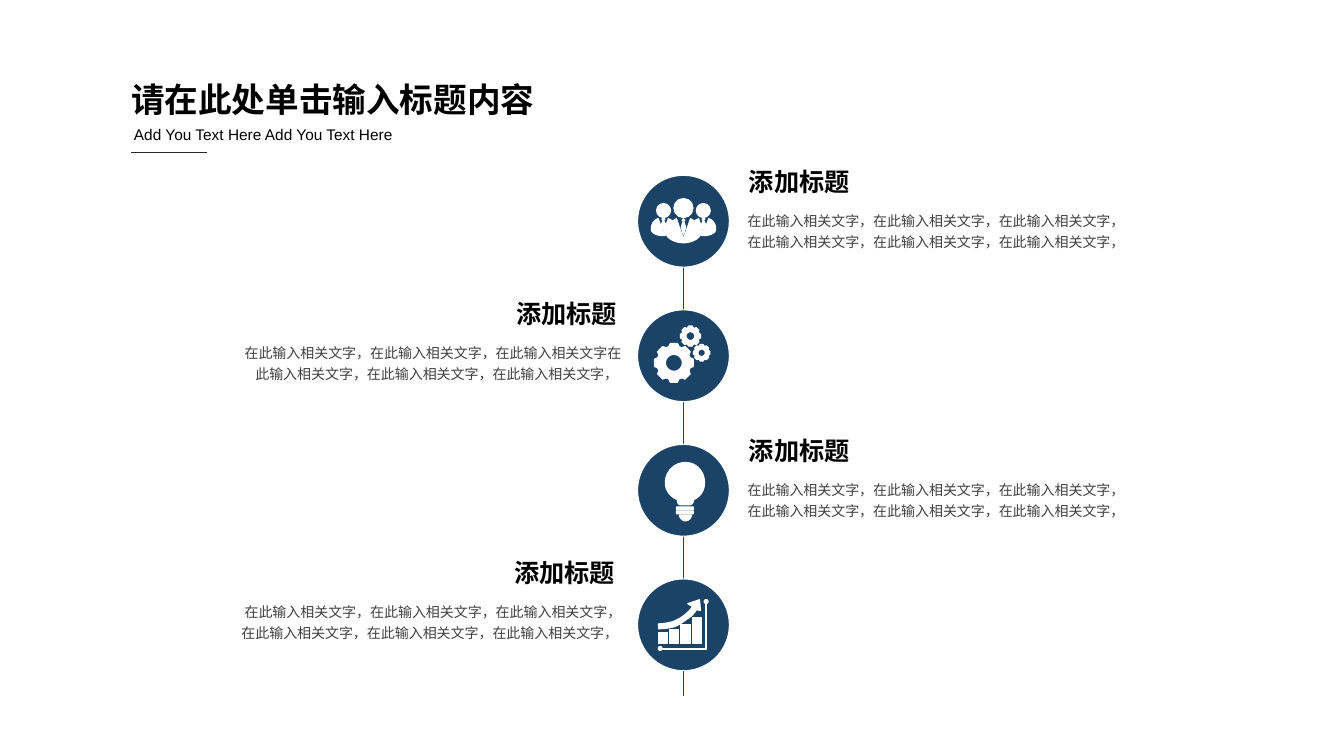
import math
import pptx
import pptx.dml.color
import pptx.enum.shapes
import pptx.enum.text
import pptx.oxml
import pptx.oxml.ns
import pptx.util

Pt = pptx.util.Pt
KIND = pptx.enum.shapes.MSO_SHAPE
ALIGN = pptx.enum.text.PP_ALIGN
qn = pptx.oxml.ns.qn


def color(code):
    return pptx.dml.color.RGBColor.from_string(code)


def trace(steps):
    spots = [steps[0]]
    for step in steps[1:]:
        if len(step) == 2:
            spots.append(step)
            continue
        ctrl = [spots[-1], step[:2], step[2:4], step[4:]]
        for n in range(1, 13):
            t = n / 12
            parts = [(1 - t) ** 3, 3 * t * (1 - t) ** 2, 3 * t * t * (1 - t), t ** 3]
            spots.append(tuple(sum(w * c[k] for w, c in zip(parts, ctrl)) for k in (0, 1)))
    return spots


def polar(x, y, r, deg):
    a = math.radians(deg)
    return x + r * math.cos(a), y + r * math.sin(a)


class Deck:
    sans = "Noto Sans CJK SC"
    navy, white, black, gray, dark = "1B4367", "FFFFFF", "000000", "404040", "262626"

    def __init__(self):
        self.prs = pptx.Presentation()
        self.prs.slide_width, self.prs.slide_height = Pt(960), Pt(540)
        self.slide = self.prs.slides.add_slide(self.prs.slide_layouts[5])
        self.shapes = self.slide.shapes
        self.x = self.y = 0

    def label(self, box, text, size, ink, bold=False, font=sans, align=ALIGN.LEFT, gap=None):
        frame = box.text_frame
        frame.word_wrap = True
        frame.auto_size = pptx.enum.text.MSO_AUTO_SIZE.SHAPE_TO_FIT_TEXT
        frame.vertical_anchor = pptx.enum.text.MSO_ANCHOR.TOP
        para = frame.paragraphs[0]
        para.text = text
        para.alignment = align
        if gap:
            para.line_spacing = gap
        para.font.name = font
        para.font.size = Pt(size)
        para.font.bold = bold
        para.font.color.rgb = color(ink)
        props = para._p.pPr.find(qn("a:defRPr"))
        east = pptx.oxml.parse_xml(f'<a:ea {pptx.oxml.ns.nsdecls("a")} typeface="{font}"/>')
        props.find(qn("a:latin")).addnext(east)

    def title(self, text, x, y, w, h):
        box = self.shapes.title
        box.left, box.top, box.width, box.height = Pt(x), Pt(y), Pt(w), Pt(h)
        frame = box.text_frame
        frame.margin_left = frame.margin_right = Pt(5)
        frame.margin_top = frame.margin_bottom = Pt(2.9)
        self.label(box, text, 24, self.black, True)

    def text(self, text, x, y, w, h, size, ink, **style):
        box = self.shapes.add_textbox(Pt(x), Pt(y), Pt(w), Pt(h))
        self.label(box, text, size, ink, **style)

    def line(self, x1, y1, x2, y2, ink):
        link = self.shapes.add_connector(
            pptx.enum.shapes.MSO_CONNECTOR.STRAIGHT, Pt(x1), Pt(y1), Pt(x2), Pt(y2))
        link.line.color.rgb = color(ink)
        link.line.width = Pt(0.75)
        link._element.spPr.append(
            pptx.oxml.parse_xml(f'<a:effectLst {pptx.oxml.ns.nsdecls("a")}/>'))

    def paint(self, shape, fill, width=0.75):
        shape.shadow.inherit = False
        shape.fill.solid()
        shape.fill.fore_color.rgb = color(fill)
        shape.line.color.rgb = color(self.white)
        shape.line.width = Pt(width)

    def shape(self, kind, x, y, w, h, fill=white):
        item = self.shapes.add_shape(kind, Pt(self.x + x), Pt(self.y + y), Pt(w), Pt(h))
        self.paint(item, fill)

    def disc(self, x, y, size, fill=white):
        self.shape(KIND.OVAL, x - size / 2, y - size / 2, size, size, fill)

    def free(self, *loops, side=1, width=0.75):
        pen = None
        for loop in loops:
            spots = [((self.x + side * x) * 100, (self.y + y) * 100) for x, y in trace(loop)]
            if pen is None:
                pen = self.shapes.build_freeform(*spots[0], scale=127.0)
            else:
                pen.move_to(*spots[0])
            pen.add_line_segments(spots[1:], close=True)
        self.paint(pen.convert_to_shape(), self.white, width)

    def tie(self, x, y, tall):
        self.free([(x, y), (x + 1.1, y + 1.1), (x, y + 2.2), (x - 1.1, y + 1.1)])
        top = y + 2.2
        self.free([(x, top), (x + 0.7, top + 0.7), (x + 1.6, top + 0.45 * tall),
                   (x, top + tall), (x - 1.6, top + 0.45 * tall), (x - 0.7, top + 0.7)])

    def team(self):
        self.disc(0, -9.4, 13.7)
        self.free([(12.2, 9), (12.2, 4, 9.4, 0.4, 5, -1.8), (0, 12.6), (-5, -1.8),
                   (-9.4, 0.4, -12.2, 4, -12.2, 9), (-12.2, 11.9, -6.5, 15.5, 0, 15.5),
                   (6.5, 15.5, 12.2, 11.9, 12.2, 9)])
        self.tie(0, -1.8, 9.3)
        for side in (-1, 1):
            self.disc(14.2 * side, -7.6, 10.1)
            self.free([(23, 5.4), (23, 2, 21, -1, 18, -1.8), (14.4, 8.3), (10.8, -1.8),
                       (7.9, -0.4), (11, 1.8, 13, 5.4, 13, 9), (13, 10.4), (14.4, 10.4),
                       (19.4, 10.4, 23, 8.3, 23, 6)], side=side)
            self.tie(14.3 * side, -2.5, 6.5)

    def gear(self, x, y, size, hole):
        teeth = [polar(x, y, size * r, 45 * n + turn) for n in range(8)
                 for r, turn in ((0.86, -17), (1, -10.5), (1, 10.5), (0.86, 17))]
        ring = [polar(x, y, hole, -10 * n) for n in range(36)]
        self.free(teeth, ring, width=1)

    def gears(self):
        for gear in ((-6.8, 5.1, 14, 6.1), (5, -14, 7.2, 3.2), (13, -2.1, 5.9, 2.7)):
            self.gear(*gear)

    def bulb(self):
        self.free([(-2.9, 17.6), (-2.9, 19.7, -0.7, 21.9, 1.4, 21.9),
                   (3.6, 21.9, 5.8, 19.7, 5.8, 17.6)])
        for y in (11.8, 14.7):
            self.shape(KIND.ROUNDED_RECTANGLE, -5, y, 12.2, 2.2)
        self.free([(15.1, -5.5), (15.1, -13.4, 9.4, -19.9, 1.4, -19.9),
                   (-6.5, -19.9, -13, -13.4, -13, -5.5), (-13, 0.3, -9.4, 4.6, -4.3, 6.8),
                   (-4.3, 7.5), (-4.3, 9, -3.6, 10.4, -2.2, 10.4), (4.3, 10.4),
                   (5.8, 10.4, 7.2, 9, 7.2, 7.5), (7.2, 6.8),
                   (12.2, 4.6, 15.1, 0.3, 15.1, -5.5)])

    def growth(self):
        self.free([(12.2, -10.1), (11.5, -18), (2.9, -15.1), (6.5, -13),
                   (2.9, -7.9, -2.2, -4.3, -7.9, -2.2), (-13, -0.7, -18, -0.7, -18, -0.7),
                   (-18, 2.9), (-17.3, 2.9, -12.2, 2.9, -6.5, 1.4),
                   (-2.9, 0, 0, -2.2, 2.9, -4.3), (5.8, -5.8, 7.9, -8.6, 9.4, -10.8)])
        for n, tall in enumerate((7.9, 10.1, 13.7, 18.7)):
            self.shape(KIND.RECTANGLE, -18 + 8.1 * n, 13.7 - tall, 6.7, tall)
        self.free([(15.8, -15.1), (15.8, 16.6), (-15.1, 16.6), (-15.1, 17.3),
                   (16.6, 17.3), (16.6, -15.1)])
        for x, y in ((16.2, -16.6), (-16.6, 16.9)):
            self.disc(x, y, 2.9)

    def node(self, x, y, icon):
        self.x, self.y = x, y
        self.disc(0, 0, 65.5, self.navy)
        icon()
        self.x = self.y = 0

    def note(self, text, y, left, right, align):
        self.text("添加标题", left, y, right - left, 22, 18, self.black,
                  bold=True, align=align, gap=Pt(15))
        edge = 527 if align == ALIGN.LEFT else 157.7
        self.text(text, edge, y + 23.7, 293, 37.4, 10, self.gray, align=align, gap=Pt(15))


def main():
    deck = Deck()
    deck.title("请在此处单击输入标题内容", 88.6, 53.3, 331, 34.6)
    deck.line(93.6, 108.7, 147.6, 108.7, deck.dark)
    deck.text("Add You Text Here Add You Text Here", 88.6, 82.1, 220.3, 24.5, 11,
              deck.black, font="Arial", gap=1.3)
    deck.line(488.2, 132.5, 488.2, 496.8, deck.navy)
    for n, icon in enumerate((deck.team, deck.gears, deck.bulb, deck.growth)):
        deck.node(488.2, 158 + 96.1 * n, icon)
    part = "在此输入相关文字"
    three = "，".join([part] * 3)
    full = three + "，" + three + "，"
    deck.note(full, 121.7, 527.8, 684.8, ALIGN.LEFT)
    deck.note(three + three + "， ", 216, 303.8, 447.8, ALIGN.RIGHT)
    deck.note(full, 313.9, 527.8, 697.8, ALIGN.LEFT)
    deck.note(full + " ", 401, 295.9, 446.4, ALIGN.RIGHT)
    deck.prs.save("out.pptx")


if __name__ == "__main__":
    main()
